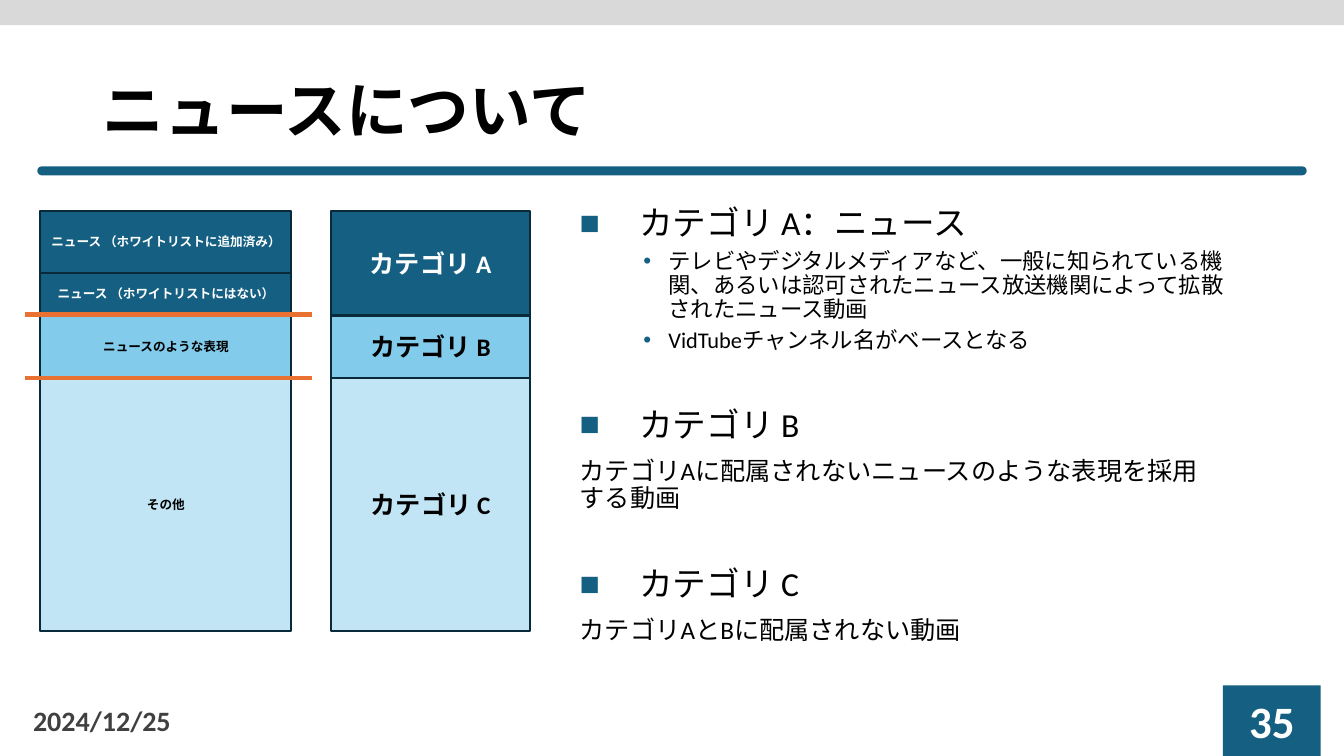
from pptx import Presentation
from pptx.dml.color import RGBColor
from pptx.enum.shapes import MSO_CONNECTOR as Link, MSO_SHAPE as Form
from pptx.enum.text import MSO_ANCHOR as Anchor, MSO_AUTO_SIZE as Fit, PP_ALIGN as Align
from pptx.oxml.ns import qn
from pptx.oxml.xmlchemy import OxmlElement as Node
from pptx.util import Inches, Pt

CELL = Inches(0.1)
COLS, ROWS = 133.3, 75
NAVY, SKY, PALE, EDGE = "156082", "83CBEB", "C1E5F5", "092A39"
BLACK, WHITE, GREY, ORANGE = "000000", "FFFFFF", "404040", "E97132"


def paint(code):
    return RGBColor.from_string(code)


def cells(*nums):
    return [round(n * CELL) for n in nums]


def write(para, text, size=18, color=BLACK, bold=False, font="Calibri", align=Align.LEFT):
    para.text = text
    para.alignment = align
    for run in para.runs:
        run.font.size = Pt(size)
        run.font.bold = bold
        run.font.name = font
        run.font.color.rgb = paint(color)
    for gap in para._p.findall(qn("a:br")):
        mark = Node("a:rPr")
        mark.set("sz", str(size * 100))
        gap.append(mark)


def bullet(para, sign, left, hang):
    props = para._p.get_or_add_pPr()
    props.set("marL", str(Inches(left)))
    props.set("indent", str(-Inches(hang)))
    if not sign:
        props.append(Node("a:buNone"))
        return
    tint, code, char = Node("a:buClr"), Node("a:srgbClr"), Node("a:buChar")
    code.set("val", NAVY)
    tint.append(code)
    char.set("char", sign)
    props.append(tint)
    props.append(char)


class Deck:
    def __init__(self):
        self.show = Presentation()
        self.show.slide_width, self.show.slide_height = cells(COLS, ROWS)
        self.slide = self.show.slides.add_slide(self.show.slide_layouts[1])
        self.shapes = self.slide.shapes

    def place(self, holder, area, anchor):
        holder.left, holder.top, holder.width, holder.height = cells(*area)
        frame = holder.text_frame
        frame.word_wrap = True
        frame.auto_size = Fit.NONE
        frame.vertical_anchor = anchor
        return frame

    def title(self, text, area):
        frame = self.place(self.shapes.title, area, Anchor.MIDDLE)
        write(frame.paragraphs[0], text, size=44, bold=True, font="Arial")
        frame.paragraphs[0].line_spacing = 0.9

    def body(self, items, area):
        frame = self.place(self.slide.placeholders[1], area, Anchor.TOP)
        for num, (kind, text, before) in enumerate(items):
            para = frame.add_paragraph() if num else frame.paragraphs[0]
            size, level, sign, left, hang = KINDS[kind]
            para.level = level
            bullet(para, sign, left, hang)
            write(para, text, size=size)
            para.line_spacing = 0.9
            para.space_before = Pt(before)

    def box(self, area, fill, text="", edge=None, form=Form.RECTANGLE, **style):
        shape = self.shapes.add_shape(form, *cells(*area))
        shape.shadow.inherit = False
        shape.fill.solid()
        shape.fill.fore_color.rgb = paint(fill)
        if edge:
            shape.line.color.rgb = paint(edge)
            shape.line.width = Pt(1.5)
        else:
            shape.line.fill.background()
        if text:
            frame = shape.text_frame
            frame.word_wrap = True
            frame.vertical_anchor = Anchor.MIDDLE
            write(frame.paragraphs[0], text, bold=True, align=Align.CENTER, **style)
        return shape

    def stack(self, left, top, width, size, parts):
        for text, high, fill in parts:
            color = WHITE if fill == NAVY else BLACK
            self.box((left, top, width, high), fill, text, EDGE, size=size, color=color)
            top += high

    def label(self, text, area, **style):
        box = self.shapes.add_textbox(*cells(*area))
        frame = self.place(box, area, Anchor.MIDDLE)
        write(frame.paragraphs[0], text, **style)

    def rule(self, left, right, top):
        line = self.shapes.add_connector(Link.STRAIGHT, *cells(left, top, right, top))
        line.line.color.rgb = paint(ORANGE)
        line.line.width = Pt(3)
        line._element.spPr.append(Node("a:effectLst"))


KINDS = {
    "head": (24, 0, "■", 0.59, 0.59),
    "point": (16, 1, "•", 0.88, 0.25),
    "plain": (18, 0, "", 0, 0),
}
ITEMS = [
    ("head", "カテゴリ A：ニュース", 0),
    ("point", "テレビやデジタルメディアなど、一般に知られている機関、あるいは認可されたニュース放送機関によって拡散されたニュース動画", 5),
    ("point", "VidTubeチャンネル名がベースとなる", 5),
    ("head", "カテゴリ B", 39),
    ("plain", "カテゴリAに配属されないニュースのような表現を採用\vする動画", 10),
    ("head", "カテゴリ C", 39),
    ("plain", "カテゴリAとBに配属されない動画", 10),
]
NEWS = [
    ("ニュース （ホワイトリストに追加済み）", 6.2, NAVY),
    ("ニュース （ホワイトリストにはない）", 4.1, NAVY),
    ("ニュースのような表現", 6.3, SKY),
    ("その他", 25.1, PALE),
]
GROUPS = [
    ("カテゴリ A", 10.4, NAVY),
    ("カテゴリ B", 6.2, SKY),
    ("カテゴリ C", 25.1, PALE),
]


def main():
    deck = Deck()
    deck.box((0, -0.2, COLS, 2.7), "D9D9D9")
    deck.title("ニュースについて", (9.2, 4, 115, 14.5))
    deck.body(ITEMS, (56.5, 20, 67.6, 47.6))
    deck.label("2024/12/25", (2.3, 69.5, 30, 4), size=20, color=GREY, bold=True)
    deck.box((121.3, 68, 9.7, 7), NAVY, "35", size=32, color=WHITE)
    bar = deck.box((3.7, 16.5, 125.9, 0.9), NAVY, form=Form.ROUNDED_RECTANGLE)
    bar.adjustments[0] = 0.5
    deck.stack(4, 20.9, 24.9, 9, NEWS)
    for top in (31.2, 37.5):
        deck.rule(2.5, 30.9, top)
    deck.stack(32.8, 20.9, 19.8, 18, GROUPS)
    deck.show.save("out.pptx")


if __name__ == "__main__":
    main()
